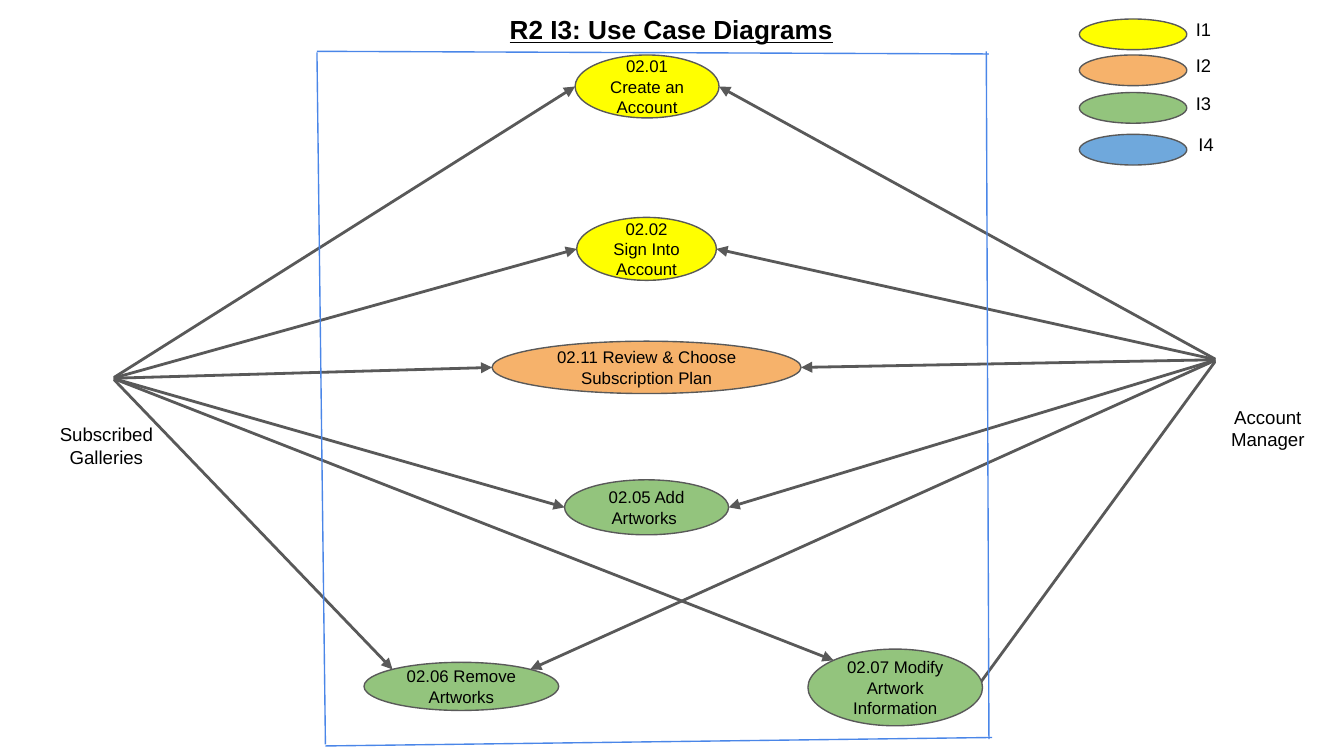
import math

from lxml import etree
from pptx import Presentation, util as u
from pptx.dml.color import RGBColor
from pptx.enum import shapes, text
from pptx.oxml.ns import qn

YELLOW = RGBColor(0xFF, 0xFF, 0x00)
ORANGE = RGBColor(0xF6, 0xB2, 0x6B)
GREEN = RGBColor(0x93, 0xC4, 0x7D)
BLUE = RGBColor(0x6F, 0xA8, 0xDC)
BORDER = RGBColor(0x4A, 0x86, 0xE8)
GRAY = RGBColor(0x59, 0x59, 0x59)
WHITE = RGBColor(0xFF, 0xFF, 0xFF)
BLACK = RGBColor(0x00, 0x00, 0x00)

LEFT, RIGHT, UPPER_LEFT, UPPER_RIGHT, LOWER_RIGHT = 180, 0, 225, 315, 45

CASES = {
    "02.01 Create an Account": ((10.87, 1.04, 2.72, 1.19), YELLOW),
    "02.02 Sign Into Account": ((10.9, 4.11, 2.64, 1.19), YELLOW),
    "02.11 Review & Choose Subscription Plan": ((9.3, 6.45, 5.84, 0.99), ORANGE),
    "02.05 Add Artworks ": ((10.67, 9.07, 3.1, 1.04), GREEN),
    "02.06 Remove Artworks": ((6.88, 12.52, 3.68, 0.91), GREEN),
    "02.07 Modify Artwork Information": ((15.27, 12.27, 3.3, 1.45), GREEN),
}
GALLERY_SIDES = (LEFT, LEFT, LEFT, LEFT, UPPER_LEFT, UPPER_LEFT)
MANAGER_SIDES = (RIGHT, RIGHT, RIGHT, RIGHT, UPPER_RIGHT, LOWER_RIGHT)
GALLERY_HUB = (1.88, 6.83, 0.25, 0.64)
MANAGER_HUB = (22.99, 6.48, 0.71, 0.64)

FRAME = (
    ((5.99, 0.99), (6.15, 14.07)),
    ((5.99, 0.97), (18.69, 1.02)),
    ((18.64, 0.97), (18.69, 13.97)),
    ((6.15, 14.1), (18.75, 13.94)),
)
LEGEND = (
    ("I1", YELLOW, 22.35, 0.36),
    ("I2", ORANGE, 22.35, 1.04),
    ("I3", GREEN, 22.35, 1.75),
    ("I4", BLUE, 22.4, 2.54),
)


def rim(area, angle):
    """Return the point of an ellipse at an angle, clockwise from its right end."""
    left, top, width, height = area
    turn = math.radians(angle)
    return (left + width * (1 + math.cos(turn)) / 2,
            top + height * (1 + math.sin(turn)) / 2)


class Diagram:
    """Draws use case elements on one slide in a shared style."""

    def __init__(self, page, font="Arial", inset=0.25):
        self.page = page
        self.font = font
        self.inset = u.Cm(inset)

    def caption(self, box, words, size, align=text.PP_ALIGN.CENTER):
        """Fill a shape with one styled paragraph and return it."""
        frame = box.text_frame
        frame.word_wrap = True
        frame.margin_left = frame.margin_right = self.inset
        frame.margin_top = frame.margin_bottom = self.inset
        para = frame.paragraphs[0]
        para.text = words
        para.alignment = align
        para.font.name = self.font
        para.font.size = u.Pt(size)
        para.font.color.rgb = BLACK
        return para

    def label(self, area, words, size=10, align=text.PP_ALIGN.CENTER):
        """Add a text box and return its paragraph."""
        box = self.page.shapes.add_textbox(*map(u.Cm, area))
        return self.caption(box, words, size, align)

    def ellipse(self, area, fill, words="", line=GRAY):
        """Add an ellipse with optional text in its middle."""
        box = self.page.shapes.add_shape(shapes.MSO_SHAPE.OVAL, *map(u.Cm, area))
        box.shadow.inherit = False
        box.fill.solid()
        box.fill.fore_color.rgb = fill
        box.line.color.rgb = line
        box.line.width = u.Pt(0.75)
        if words:
            self.caption(box, words, 9)
            box.text_frame.vertical_anchor = text.MSO_ANCHOR.MIDDLE

    def line(self, start, end, color, width):
        """Add a straight line and return it."""
        link = self.page.shapes.add_connector(
            shapes.MSO_CONNECTOR.STRAIGHT, *map(u.Cm, (*start, *end)))
        link.line.color.rgb = color
        link.line.width = u.Pt(width)
        etree.SubElement(link._element.spPr, qn("a:effectLst"))
        return link

    def arrow(self, start, end):
        """Add a line with a triangle at its end."""
        link = self.line(start, end, GRAY, 1.5)
        outline = link._element.spPr.find(qn("a:ln"))
        etree.SubElement(outline, qn("a:tailEnd"), type="triangle")


def main():
    """Build and save the use case slide."""
    deck = Presentation()
    deck.slide_width, deck.slide_height = u.Cm(25.4), u.Cm(14.29)
    diagram = Diagram(deck.slides.add_slide(deck.slide_layouts[6]))

    title = diagram.label((6.38, 0, 12.62, 0.91), "R2 I3: Use Case Diagrams", 14)
    title.font.bold = title.font.underline = True
    diagram.label((0.18, 7.75, 3.66, 1.27), "Subscribed Galleries")
    diagram.label((22.35, 7.42, 3.22, 0.79), "Account Manager")

    for (area, _), near, far in zip(CASES.values(), GALLERY_SIDES, MANAGER_SIDES):
        diagram.arrow(rim(GALLERY_HUB, RIGHT), rim(area, near))
        diagram.arrow(rim(MANAGER_HUB, LEFT), rim(area, far))
    for words, (area, fill) in CASES.items():
        diagram.ellipse(area, fill, words)
    for hub in (GALLERY_HUB, MANAGER_HUB):
        diagram.ellipse(hub, WHITE, line=WHITE)

    for words, fill, left, top in LEGEND:
        diagram.ellipse((20.4, top, 2.03, 0.58), fill)
        entry = diagram.label((left, top - 0.1, 1.57, 0.84), words, 9.8,
                              text.PP_ALIGN.LEFT)
        entry.line_spacing = 0.8
    for start, end in FRAME:
        diagram.line(start, end, BORDER, 0.75)

    deck.save("out.pptx")


if __name__ == "__main__":
    main()
